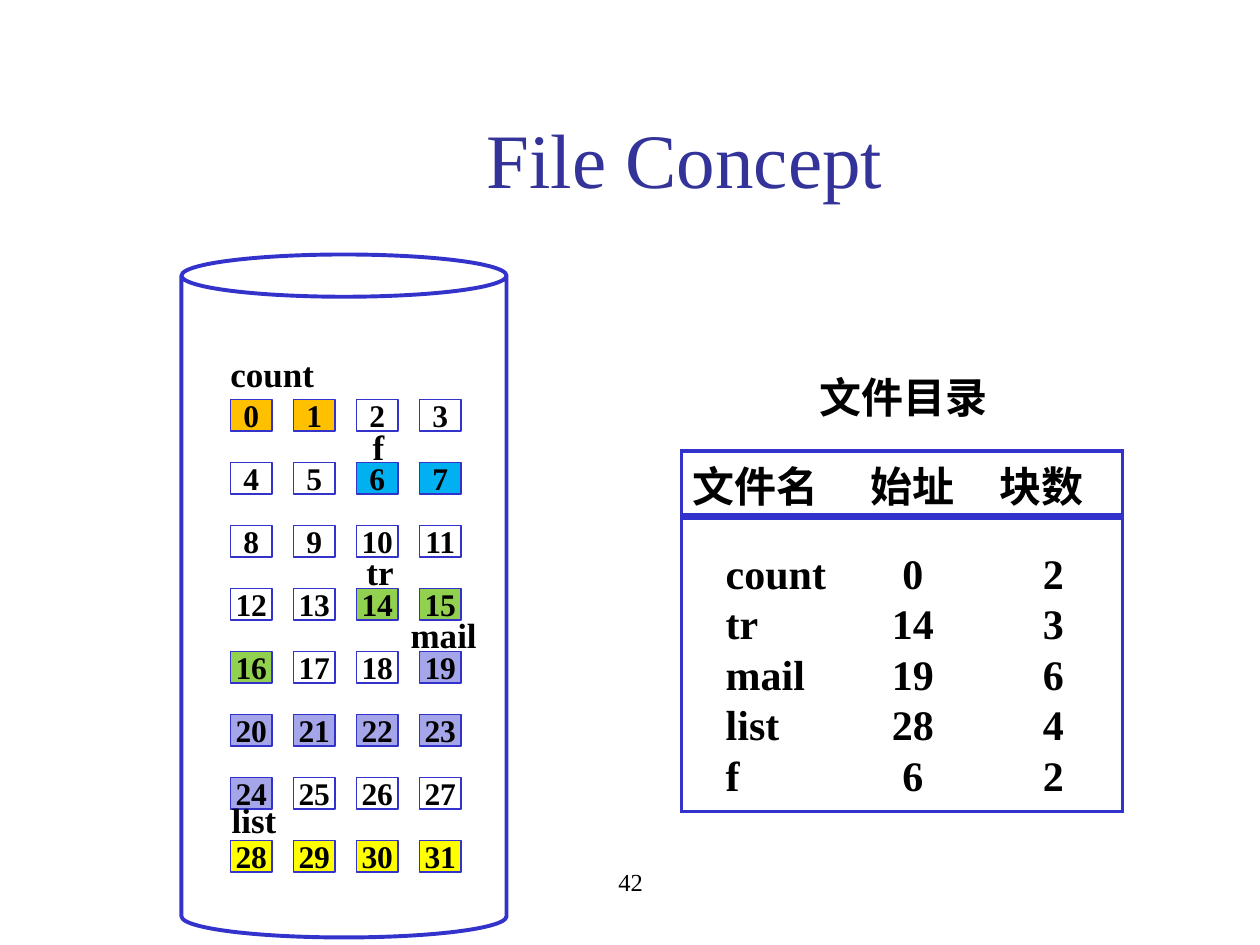
"""Build a slide on contiguous file allocation: disk blocks and the file directory."""
from lxml.etree import SubElement
from pptx import Presentation
from pptx.dml.color import RGBColor
from pptx.enum.shapes import MSO_SHAPE
from pptx.enum.text import MSO_ANCHOR, PP_ALIGN
from pptx.oxml.ns import qn
from pptx.util import Inches, Pt

FONT = "Times New Roman"
COLORS = {
    "title": "333399", "text": "000000", "outline": "3333CC",
    "count": "FFC000", "tr": "92D050", "mail": "A5A5E9",
    "list": "FFFF00", "f": "00B0F0",
}
TITLE = "File Concept"
PAGE_NUMBER = "42"
DIRECTORY_TITLE = "文件目录"
HEADINGS = ("文件名", "始址", "块数")
FILES = [("count", 0, 2), ("tr", 14, 3), ("mail", 19, 6), ("list", 28, 4), ("f", 6, 2)]
LABEL_BOXES = {
    "count": (1.73, 2.75, 0.94), "f": (2.86, 3.33, 0.25), "tr": (2.81, 4.32, 0.42),
    "mail": (3.16, 4.82, 0.75), "list": (1.74, 6.29, 0.75),
}
BLOCK_COUNT, BLOCKS_PER_ROW = 32, 4
BLOCK_LEFT, BLOCK_TOP, BLOCK_PITCH = 1.83, 3.17, 0.5
BLOCK_WIDTH, BLOCK_HEIGHT = 0.33, 0.25
COLUMN_WIDTHS = (1.27, 1.13, 1.1)
ROW_HEIGHTS = (0.52, 0.68, 0.4, 0.4, 0.4, 0.46)
OUTER_LINE, HEADER_LINE = 2.25, 4.5


def rgb(name):
    return RGBColor.from_string(COLORS[name])


def write(frame, text, size, bold=True, align=PP_ALIGN.LEFT, color="text"):
    frame.text = text
    paragraph = frame.paragraphs[0]
    paragraph.alignment = align
    paragraph.font.name = FONT
    paragraph.font.size = Pt(size)
    paragraph.font.bold = bold
    paragraph.font.color.rgb = rgb(color)


def add_text(slide, box, text, size, **style):
    frame = slide.shapes.add_textbox(*map(Inches, box)).text_frame
    frame.word_wrap = True
    write(frame, text, size, **style)


def add_outlined(slide, preset, box, line_width, fill=None):
    shape = slide.shapes.add_shape(preset, *map(Inches, box))
    shape.shadow.inherit = False
    if fill:
        shape.fill.solid()
        shape.fill.fore_color.rgb = rgb(fill)
    else:
        shape.fill.background()
    shape.line.color.rgb = rgb("outline")
    shape.line.width = Pt(line_width)
    return shape


def set_borders(cell, widths):
    properties = cell._tc.get_or_add_tcPr()
    for side in ("L", "R", "T", "B"):
        width = widths.get(side, 0)
        border = SubElement(properties, qn(f"a:ln{side}"), w=str(Pt(width)))
        if width:
            fill = SubElement(border, qn("a:solidFill"))
            SubElement(fill, qn("a:srgbClr"), val=COLORS["outline"])
        else:
            SubElement(border, qn("a:noFill"))


def add_disk(slide):
    disk = add_outlined(slide, MSO_SHAPE.CAN, (1.44, 2.02, 2.58, 5.42), 2.25)
    disk.adjustments[0] = 0.13
    owners = {start + step: name for name, start, size in FILES for step in range(size)}
    for number in range(BLOCK_COUNT):
        row, column = divmod(number, BLOCKS_PER_ROW)
        box = (BLOCK_LEFT + column * BLOCK_PITCH, BLOCK_TOP + row * BLOCK_PITCH,
               BLOCK_WIDTH, BLOCK_HEIGHT)
        block = add_outlined(slide, MSO_SHAPE.RECTANGLE, box, 0.75, owners.get(number))
        block.text_frame.word_wrap = False
        block.text_frame.vertical_anchor = MSO_ANCHOR.MIDDLE
        write(block.text_frame, str(number), 18, align=PP_ALIGN.CENTER)
    for name, (left, top, width) in LABEL_BOXES.items():
        add_text(slide, (left, top, width, 0.44), name, 20)


def add_directory(slide):
    rows = [HEADINGS, *FILES]
    last_row, last_column = len(rows) - 1, len(HEADINGS) - 1
    box = (5.41, 3.58, sum(COLUMN_WIDTHS), sum(ROW_HEIGHTS))
    directory = slide.shapes.add_table(len(rows), len(HEADINGS), *map(Inches, box)).table
    directory.first_row = directory.horz_banding = False
    for column, width in zip(directory.columns, COLUMN_WIDTHS):
        column.width = Inches(width)
    for row, height in zip(directory.rows, ROW_HEIGHTS):
        row.height = Inches(height)
    for i, values in enumerate(rows):
        for j, value in enumerate(values):
            cell = directory.cell(i, j)
            widths = {}
            if j == 0:
                widths["L"] = OUTER_LINE
            if j == last_column:
                widths["R"] = OUTER_LINE
            if i <= 1:
                widths["T"] = HEADER_LINE if i else OUTER_LINE
            if i in (0, last_row):
                widths["B"] = OUTER_LINE if i else HEADER_LINE
            set_borders(cell, widths)
            cell.fill.background()
            cell.vertical_anchor = MSO_ANCHOR.TOP if i else MSO_ANCHOR.MIDDLE
            cell.margin_left = Inches(0 if j else 0.35 if i else 0.09)
            cell.margin_right = Inches(0.18 if i == 0 and j == last_column else 0)
            cell.margin_top = Inches(0.28 if i == 1 else 0)
            cell.margin_bottom = 0
            write(cell.text_frame, str(value), 24,
                  align=PP_ALIGN.CENTER if j else PP_ALIGN.LEFT)
    add_text(slide, (6.41, 2.9, 1.53, 0.5), DIRECTORY_TITLE, 24)


def main():
    deck = Presentation()
    deck.slide_width, deck.slide_height = Inches(10), Inches(7.5)
    slide = deck.slides.add_slide(deck.slide_layouts[5])
    title = slide.shapes.title
    title.left, title.top, title.width, title.height = map(Inches, (1.34, 0.65, 8.19, 1.21))
    title.text_frame.vertical_anchor = MSO_ANCHOR.MIDDLE
    write(title.text_frame, TITLE, 44, bold=False, align=PP_ALIGN.CENTER, color="title")
    add_disk(slide)
    add_directory(slide)
    add_text(slide, (3.42, 6.83, 3.17, 0.5), PAGE_NUMBER, 14,
             bold=False, align=PP_ALIGN.CENTER)
    deck.save("out.pptx")


if __name__ == "__main__":
    main()
